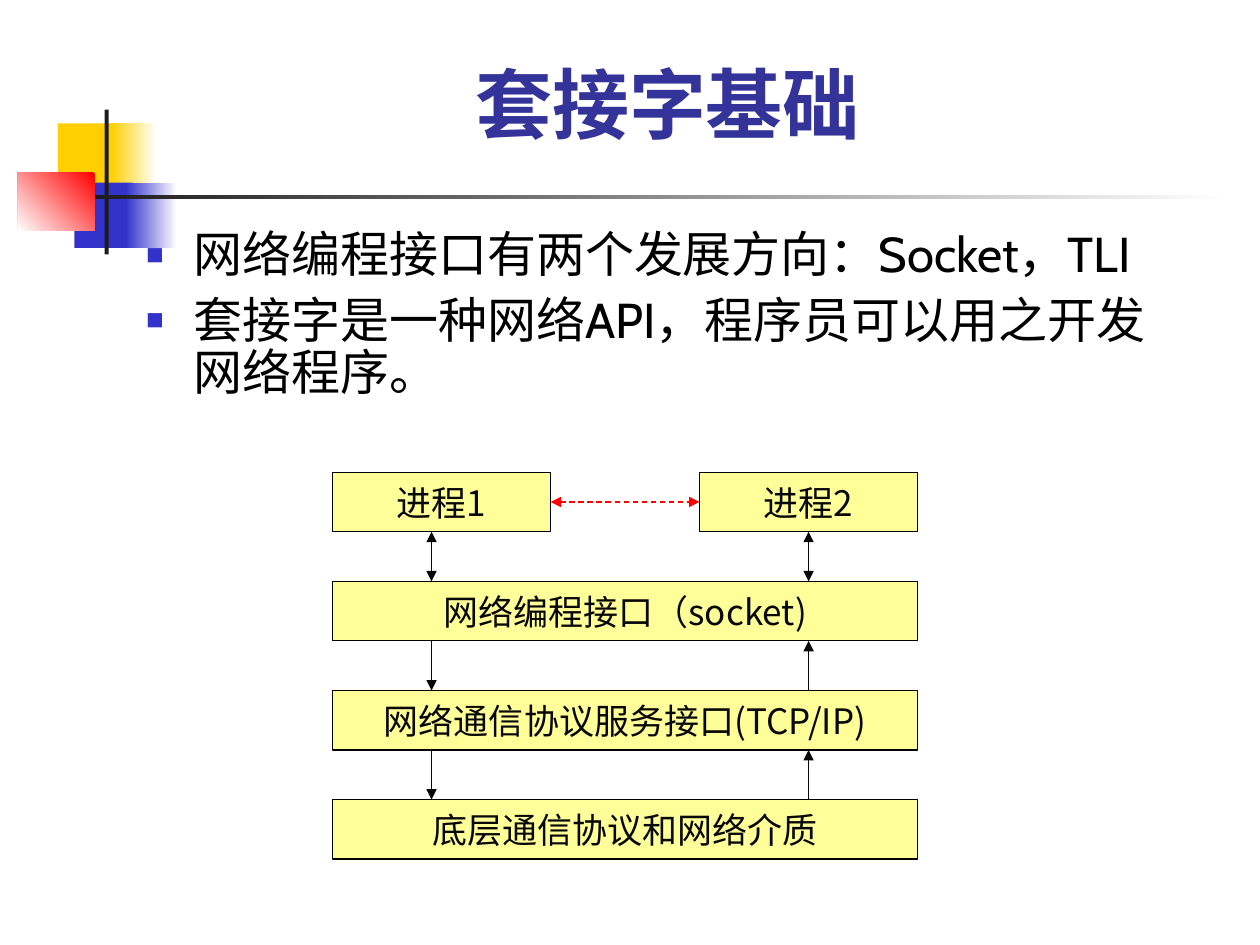
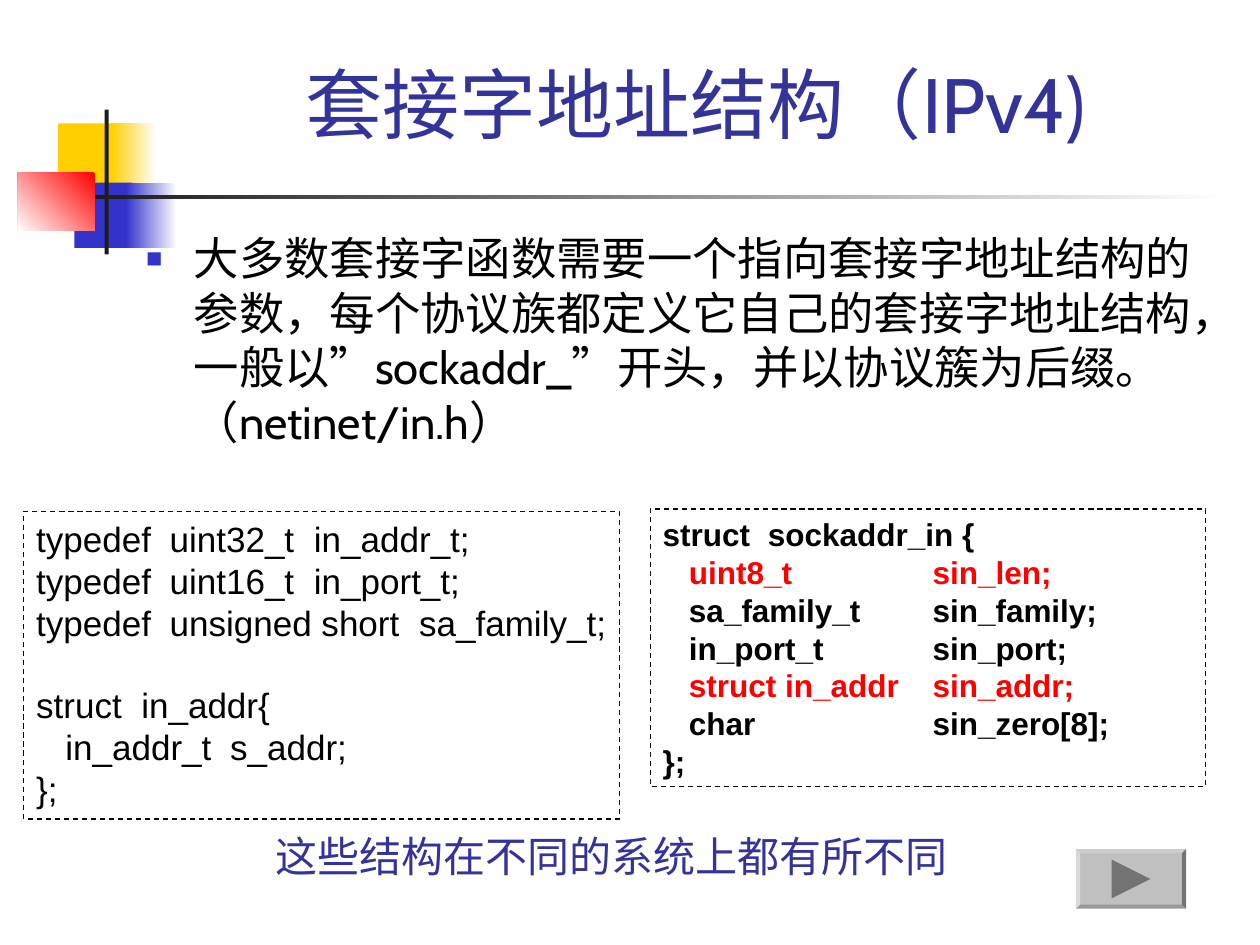
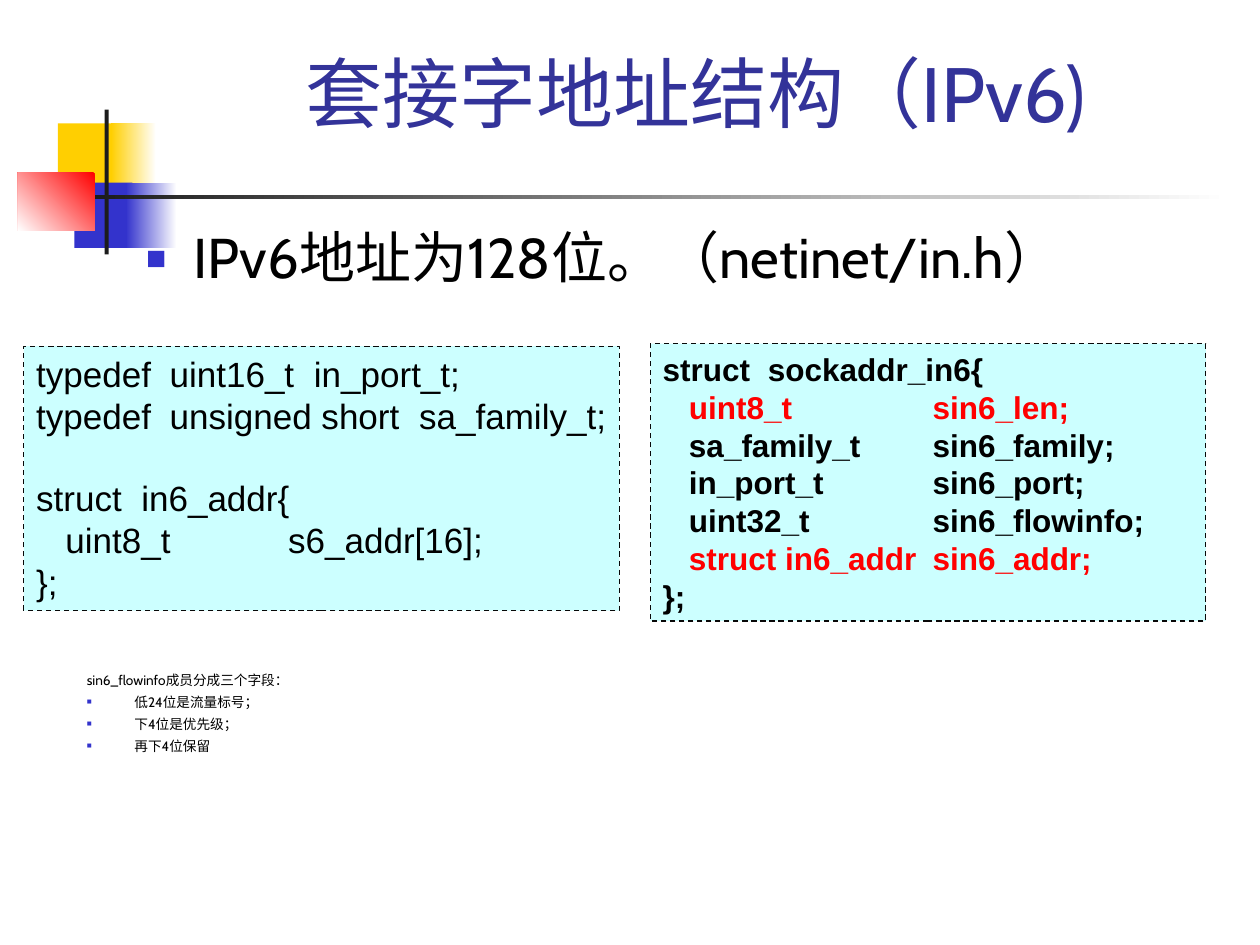
"""Builds three slides on socket basics and socket address structures."""
from pptx import Presentation
from pptx.dml.color import RGBColor
from pptx.enum.dml import MSO_LINE
from pptx.enum.shapes import MSO_CONNECTOR, MSO_SHAPE
from pptx.enum.text import MSO_ANCHOR, MSO_AUTO_SIZE, PP_ALIGN
from pptx.oxml.ns import qn
from pptx.oxml.xmlchemy import OxmlElement
from pptx.util import Cm, Pt

RECT, BEVEL = MSO_SHAPE.RECTANGLE, MSO_SHAPE.BEVEL
TRIANGLE = MSO_SHAPE.ISOSCELES_TRIANGLE
STRAIGHT, DASH = MSO_CONNECTOR.STRAIGHT, MSO_LINE.DASH
TOP, MIDDLE, BOTTOM = MSO_ANCHOR.TOP, MSO_ANCHOR.MIDDLE, MSO_ANCHOR.BOTTOM
LEFT, CENTER = PP_ALIGN.LEFT, PP_ALIGN.CENTER
NO_FIT = MSO_AUTO_SIZE.NONE

BLACK = RGBColor(0x00, 0x00, 0x00)
WHITE = RGBColor(0xFF, 0xFF, 0xFF)
INK = RGBColor(0x08, 0x08, 0x08)
RULE = RGBColor(0x1C, 0x1C, 0x1C)
NAVY = RGBColor(0x33, 0x33, 0x99)
BLUE = RGBColor(0x33, 0x33, 0xCC)
GOLD = RGBColor(0xFF, 0xCF, 0x01)
RED = RGBColor(0xFF, 0x00, 0x00)
YELLOW = RGBColor(0xFF, 0xFF, 0x99)
CYAN = RGBColor(0xCC, 0xFF, 0xFF)
SILVER = RGBColor(0xC0, 0xC0, 0xC0)
GRAY = RGBColor(0x73, 0x73, 0x73)

BODY, CODE, CJK = "Cabin", "Arial", "Noto Sans CJK JP"
TITLE_BOX = (3.2, 0.58, 21.64, 2.54)
LEFT_X, LEFT_W = 0.48, 12.01
RIGHT_X, RIGHT_W, RIGHT_H = 13.11, 11.2, 5.59
TYPEDEF_TABS = (2.12, 2.69, 5.6, 7.72)
STRUCT_TABS = (2.12,)
FIELD_TABS = (0.53, 5.44)


def add_child(parent, tag, **attrs):
    child = OxmlElement(tag)
    for name, value in attrs.items():
        child.set(name, str(value))
    parent.append(child)
    return child


class Deck:
    def __init__(self):
        self.prs = Presentation()
        self.prs.slide_width, self.prs.slide_height = Cm(25.4), Cm(19.05)
        self.s = None

    def slide(self, title, box=TITLE_BOX, anchor=BOTTOM, bold=False):
        self.s = self.prs.slides.add_slide(self.prs.slide_layouts[1])
        if len(self.prs.slides) == 1:
            self.master_band()
        tf = self.frame(self.place(self.s.shapes.title, box), anchor)
        tf.text = title
        self.style(tf.paragraphs[0], 44, BODY, NAVY, bold, CENTER)

    def master_band(self):
        parts = (
            ((1.17, 2.49, 1.22, 1.32), GOLD, None, 0),
            ((2.24, 2.49, 0.91, 1.32), WHITE, GOLD, 180),
            ((1.5, 3.68, 1.17, 1.32), BLUE, None, 0),
            ((2.54, 3.68, 1.02, 1.32), WHITE, BLUE, 180),
            ((0.36, 3.48, 1.55, 1.17), RED, WHITE, 225),
            ((2.11, 2.21, 0.08, 2.92), RULE, None, 0),
            ((1.91, 3.94, 22.86, 0.08), WHITE, RULE, 180),
        )
        tree = self.prs.slide_master.element.cSld.spTree
        for i, (box, start, end, angle) in enumerate(parts):
            sp = self.shape(RECT, box, start)
            if end is not None:
                sp.fill.gradient()
                sp.fill.gradient_angle = angle
                for stop, color in zip(sp.fill.gradient_stops, (start, end)):
                    stop.color.rgb = color
            tree.insert(2 + i, sp.element)

    def place(self, sp, box):
        sp.left, sp.top, sp.width, sp.height = map(Cm, box)
        return sp

    def frame(self, sp, anchor=TOP, wrap=True):
        tf = sp.text_frame
        tf.auto_size, tf.word_wrap, tf.vertical_anchor = NO_FIT, wrap, anchor
        return tf

    def style(self, p, size, font, color, bold=False, align=LEFT):
        p.alignment = align
        for r in p.runs:
            r.font.size, r.font.name, r.font.bold = Pt(size), font, bold
            r.font.color.rgb = color
            add_child(r._r.get_or_add_rPr(), "a:ea", typeface=CJK)

    def shape(self, kind, box, fill=None, line=None, dash=None):
        sp = self.s.shapes.add_shape(kind, *map(Cm, box))
        sp.shadow.inherit = False
        if fill is None:
            sp.fill.background()
        else:
            sp.fill.solid()
            sp.fill.fore_color.rgb = fill
        if line is None:
            sp.line.fill.background()
        else:
            sp.line.color.rgb, sp.line.width = line, Pt(0.75)
            sp.line.dash_style = dash
        return sp

    def bullets(self, tf, lines, size, before, spacing, plain=0):
        tf.text = "\n".join(lines)
        for i, p in enumerate(tf.paragraphs):
            self.style(p, size, BODY, BLACK)
            pr = p._p.get_or_add_pPr()
            pr.set("marL", str(Cm(0.96)))
            pr.set("indent", str(-Cm(0.96)))
            if i < plain:
                add_child(pr, "a:buNone")
            else:
                color = add_child(pr, "a:buClr")
                add_child(color, "a:srgbClr", val=BLUE)
                add_child(pr, "a:buSzPct", val=60000)
                add_child(pr, "a:buFont", typeface=CODE)
                add_child(pr, "a:buChar", char="■")
            p.space_before, p.line_spacing = Pt(before), spacing

    def body(self, lines, height, size, before=7, spacing=0.9):
        sp = self.place(self.s.placeholders[1], (2.69, 4.52, 21.59, height))
        self.bullets(self.frame(sp), lines, size, before, spacing)

    def text_box(self, box, wrap=True):
        return self.frame(self.s.shapes.add_textbox(*map(Cm, box)), wrap=wrap)

    def layer(self, text, box):
        tf = self.frame(self.shape(RECT, box, YELLOW, BLACK), MIDDLE, False)
        tf.text = text
        self.style(tf.paragraphs[0], 20, CJK, INK, align=CENTER)

    def arrow(self, x1, y1, x2, y2, head, tail, color=INK, dash=None):
        c = self.s.shapes.add_connector(STRAIGHT, *map(Cm, (x1, y1, x2, y2)))
        c.line.color.rgb, c.line.width = color, Pt(0.75)
        c.line.dash_style = dash
        ln = c.element.spPr.find(qn("a:ln"))
        for tag, shown in (("a:headEnd", head), ("a:tailEnd", tail)):
            if shown:
                add_child(ln, tag, type="triangle")
        add_child(c.element.spPr, "a:effectLst")

    def code(self, box, lines, heads, fields, size, fill, bold=False, red=(), gap=None):
        tf = self.frame(self.shape(RECT, box, fill, INK, DASH))
        tf.margin_right = 0
        tf.text = "\n".join(lines)
        for i, p in enumerate(tf.paragraphs):
            self.style(p, size, CODE, RED if i in red else BLACK, bold)
            stops = fields if lines[i].startswith("\t") else heads
            tabs = add_child(p._p.get_or_add_pPr(), "a:tabLst")
            for stop in stops:
                add_child(tabs, "a:tab", pos=Cm(stop), algn="l")
            if i == gap:
                p.space_before = Pt(23)

    def next_button(self, left, top, width, height):
        sp = self.shape(BEVEL, (left, top, width, height), SILVER)
        sp.adjustments[0] = 0.07
        side = 0.78
        x, y = left + (width - side) / 2, top + (height - side) / 2
        self.shape(TRIANGLE, (x, y, side, side), GRAY).rotation = 90


def basics_slide(deck):
    deck.slide("套接字基础", (2.64, 1.78, 21.64, 1.34), bold=True)
    deck.body(["网络编程接口有两个发展方向：Socket，TLI",
               "套接字是一种网络API，程序员可以用之开发网络程序。"], 3.81, 28)
    left, width, process_w, height, pitch = 6.7, 11.8, 4.4, 1.2, 2.2
    tops = [9.52 + pitch * i for i in range(4)]
    right = left + width - process_w
    deck.layer("进程1", (left, tops[0], process_w, height))
    deck.layer("进程2", (right, tops[0], process_w, height))
    layers = ("网络编程接口（socket)", "网络通信协议服务接口(TCP/IP)", "底层通信协议和网络介质")
    for text, top in zip(layers, tops[1:]):
        deck.layer(text, (left, top, width, height))
    middle = tops[0] + height / 2
    deck.arrow(left + process_w, middle, right, middle, True, True, RED, DASH)
    for i, top in enumerate(tops[:-1]):
        for x, up in ((8.7, False), (16.3, True)):
            both = i == 0
            deck.arrow(x, top + height, x, top + pitch, up or both, not up or both)


def ipv4_slide(deck):
    deck.slide("套接字地址结构（IPv4)")
    deck.body(["大多数套接字函数需要一个指向套接字地址结构的参数，每个协议族都定义它自己的"
               "套接字地址结构，一般以”sockaddr_”开头，并以协议簇为后缀。（netinet/in.h）"],
              4.93, 25.9, spacing=1)
    deck.code((LEFT_X, 10.31, LEFT_W, 6.2),
              ["typedef\tuint32_t\tin_addr_t;", "typedef\tuint16_t\tin_port_t;",
               "typedef\tunsigned short\tsa_family_t;", "struct\tin_addr{",
               "\tin_addr_t\ts_addr;", "};"],
              TYPEDEF_TABS, (0.59, 3.91), 20, None, gap=3)
    deck.code((RIGHT_X, 10.26, RIGHT_W, RIGHT_H),
              ["struct\tsockaddr_in {", "\tuint8_t\tsin_len;", "\tsa_family_t\tsin_family;",
               "\tin_port_t\tsin_port;", "\tstruct in_addr\tsin_addr;",
               "\tchar\tsin_zero[8];", "};"],
              STRUCT_TABS, FIELD_TABS, 18, None, True, (1, 4))
    tf = deck.text_box((5.31, 16.61, 14.05, 1.27), False)
    tf.text = "这些结构在不同的系统上都有所不同"
    deck.style(tf.paragraphs[0], 24, CODE, NAVY)
    deck.next_button(21.69, 17.12, 2.22, 1.2)


def ipv6_slide(deck):
    deck.slide("套接字地址结构（IPv6)", anchor=MIDDLE)
    deck.body(["IPv6地址为128位。（netinet/in.h）"], 1.78, 32, 8)
    deck.code((LEFT_X, 6.98, LEFT_W, 5.33),
              ["typedef\tuint16_t\tin_port_t;", "typedef\tunsigned short\tsa_family_t;",
               "struct\tin6_addr{", "\tuint8_t\ts6_addr[16];", "};"],
              TYPEDEF_TABS, (0.59, 5.08), 20, CYAN, gap=2)
    deck.code((RIGHT_X, 6.93, RIGHT_W, RIGHT_H),
              ["struct\tsockaddr_in6{", "\tuint8_t\tsin6_len;", "\tsa_family_t\tsin6_family;",
               "\tin_port_t\tsin6_port;", "\tuint32_t\tsin6_flowinfo;",
               "\tstruct in6_addr\tsin6_addr;", "};"],
              STRUCT_TABS, FIELD_TABS, 18, CYAN, True, (1, 5))
    deck.bullets(deck.text_box((1.5, 13.51, 21.59, 1.78)),
                 ["sin6_flowinfo成员分成三个字段：", "低24位是流量标号；",
                  "下4位是优先级；", "再下4位保留"], 7.8, 6, 0.7, plain=1)


def main():
    deck = Deck()
    basics_slide(deck)
    ipv4_slide(deck)
    ipv6_slide(deck)
    deck.prs.save("out.pptx")


if __name__ == "__main__":
    main()
